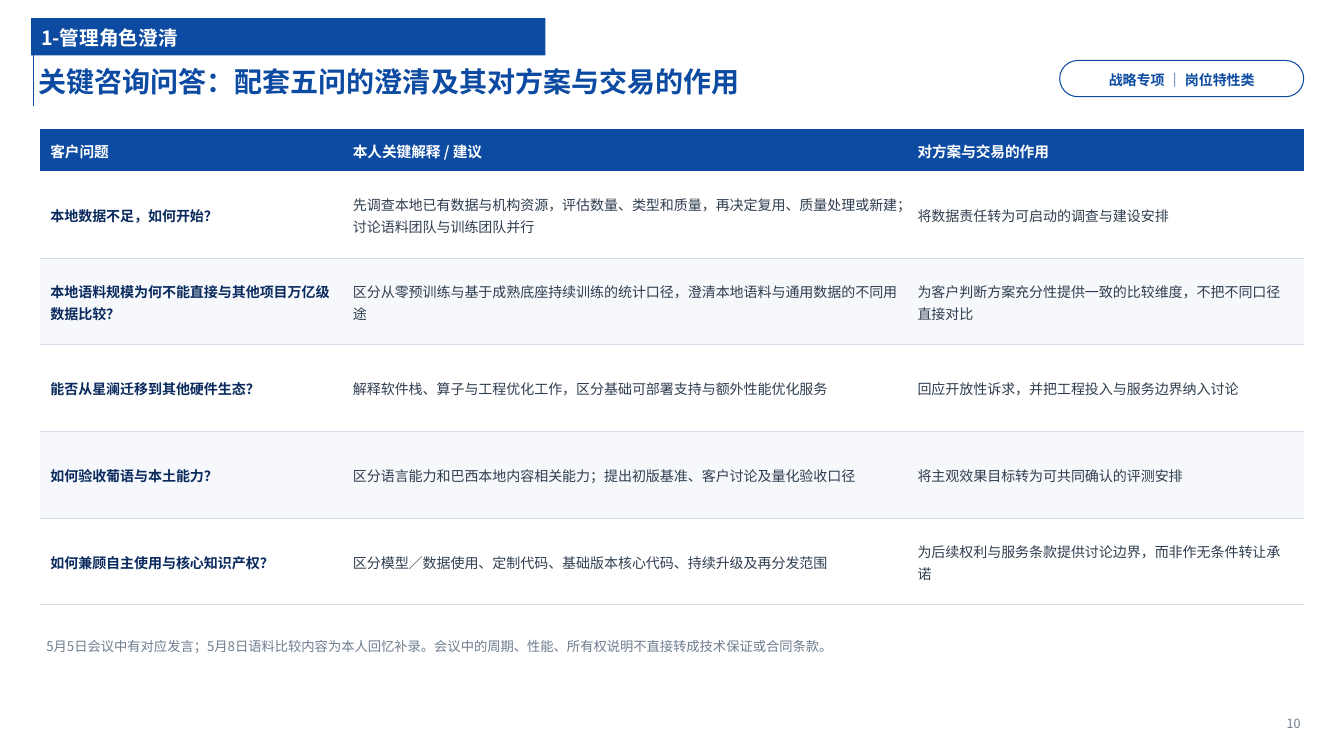
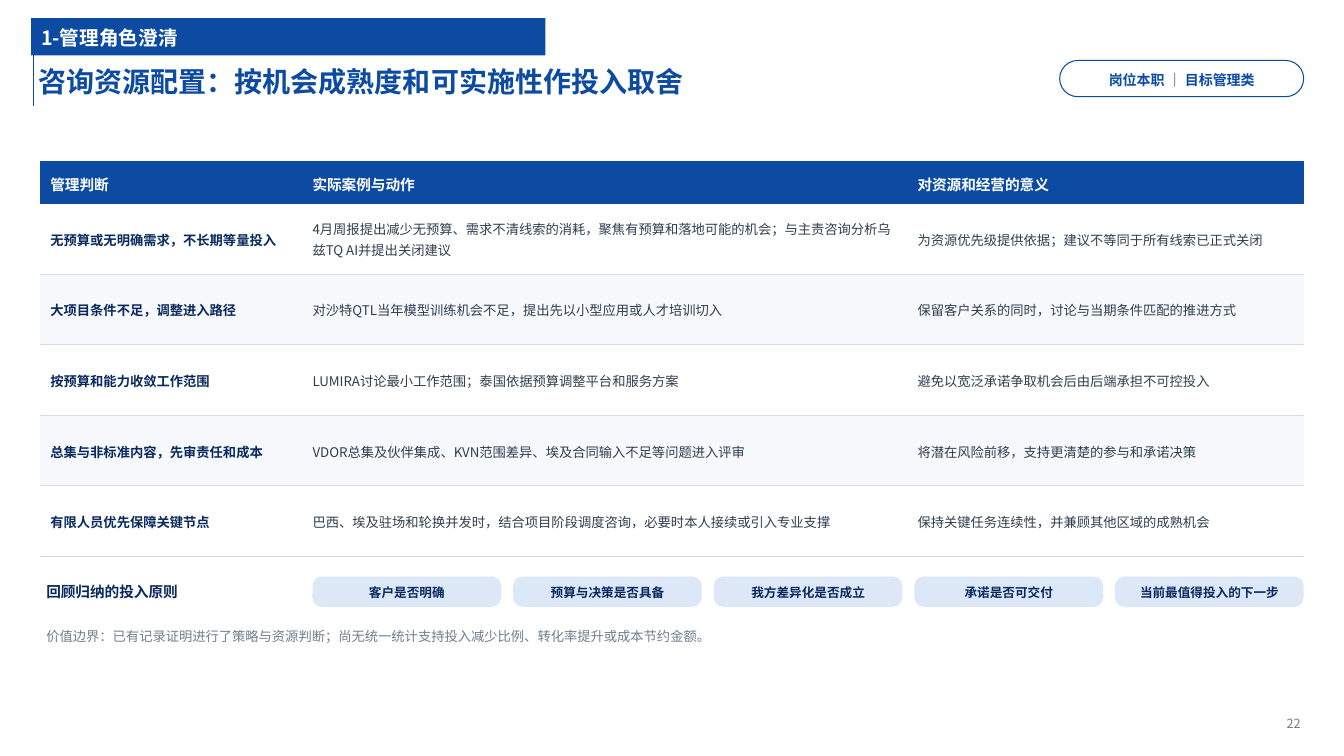
from dataclasses import dataclass
from lxml.etree import SubElement
from pptx import Presentation
from pptx.dml.color import RGBColor
from pptx.enum.shapes import MSO_CONNECTOR, MSO_SHAPE
from pptx.enum.text import MSO_ANCHOR, MSO_AUTO_SIZE, PP_ALIGN
from pptx.oxml import parse_xml
from pptx.oxml.ns import nsdecls, qn
from pptx.util import Inches, Pt


@dataclass(frozen=True)
class Theme:
    font: str = "Noto Sans CJK SC"
    blue: str = "0C4BA1"
    navy: str = "0A2A5E"
    ink: str = "2F3E4F"
    grey: str = "6F7E8F"
    rule: str = "D3DCE8"
    chip: str = "DCE7F8"
    stripe: str = "F6F8FC"
    white: str = "FFFFFF"
    title: float = 20
    section: float = 14
    heading: float = 10.5
    tag: float = 10
    note: float = 9.5
    small: float = 9


T = Theme()
LEFT, WIDTH = 0.4, 12.53
HEADER_H = 0.42


def rgb(color):
    return RGBColor.from_string(color)


def write(tf, text, size, color, bold=False, align=PP_ALIGN.LEFT, spacing=1.12, after=0):
    p = tf.paragraphs[0]
    p.text = text
    p.alignment = align
    p.line_spacing = spacing
    p.space_before = Pt(0)
    p.space_after = Pt(after)
    f = p.font
    f.size, f.bold, f.name = Pt(size), bold, T.font
    f.color.rgb = rgb(color)
    SubElement(p._p.pPr.find(qn("a:defRPr")), qn("a:ea")).set("typeface", T.font)


def set_frame(tf, insets):
    tf.word_wrap = True
    tf.auto_size = MSO_AUTO_SIZE.NONE
    tf.vertical_anchor = MSO_ANCHOR.MIDDLE
    tf.margin_left, tf.margin_top, tf.margin_right, tf.margin_bottom = map(Inches, insets)


def add_text(s, box, text, size, color, insets=(0.06, 0.04, 0.06, 0.04), **style):
    tf = s.shapes.add_textbox(*map(Inches, box)).text_frame
    set_frame(tf, insets)
    write(tf, text, size, color, **style)


def add_box(s, box, text, size, color, fill, line=None, radius=None,
            insets=(0.04, 0, 0.04, 0), align=PP_ALIGN.CENTER):
    kind = MSO_SHAPE.RECTANGLE if radius is None else MSO_SHAPE.ROUNDED_RECTANGLE
    sp = s.shapes.add_shape(kind, *map(Inches, box))
    sp.shadow.inherit = False
    if radius is not None:
        sp.adjustments[0] = radius
    sp.fill.solid()
    sp.fill.fore_color.rgb = rgb(fill)
    if line:
        sp.line.color.rgb = rgb(line)
        sp.line.width = Pt(0.75)
    else:
        sp.line.fill.background()
    set_frame(sp.text_frame, insets)
    write(sp.text_frame, text, size, color, bold=True, align=align)


def add_frame(prs, title, tag, page):
    s = prs.slides.add_slide(prs.slide_layouts[5])
    line = s.shapes.add_connector(MSO_CONNECTOR.STRAIGHT, Inches(0.33), Inches(0.24),
                                  Inches(0.33), Inches(1.05))
    line.line.color.rgb = rgb(T.blue)
    line.line.width = Pt(1)
    SubElement(line._element.spPr, qn("a:effectLst"))
    sp = s.shapes.title
    sp.left, sp.top, sp.width, sp.height = map(Inches, (0.33, 0.53, 11.5, 0.52))
    set_frame(sp.text_frame, (0.05, 0, 0.05, 0))
    write(sp.text_frame, title, T.title, T.blue, bold=True)
    add_box(s, (0.31, 0.18, 5.1, 0.37), "1-管理角色澄清", T.section, T.white, T.blue,
            insets=(0.1, 0, 0.05, 0), align=PP_ALIGN.LEFT)
    add_box(s, (10.51, 0.6, 2.42, 0.36), tag, T.tag, T.blue, T.white, line=T.blue, radius=0.5)
    add_text(s, (12, 7.02, 0.95, 0.3), page, T.small, T.grey,
             insets=(0, 0, 0.05, 0), align=PP_ALIGN.RIGHT)
    return s


def set_borders(cell, ruled):
    tcPr = cell._tc.get_or_add_tcPr()
    for i, side in enumerate(("lnL", "lnR", "lnT", "lnB")):
        fill = "<a:noFill/>"
        if side in ruled:
            fill = f'<a:solidFill><a:srgbClr val="{T.rule}"/></a:solidFill>'
        tcPr.insert(i, parse_xml(f'<a:{side} {nsdecls("a")} w="9525">{fill}</a:{side}>'))


def add_grid(s, top, widths, row_h, size, rows):
    height = HEADER_H + row_h * (len(rows) - 1)
    table = s.shapes.add_table(len(rows), len(widths), Inches(LEFT), Inches(top),
                               Inches(WIDTH), Inches(height)).table
    table.horz_banding = False
    for col, width in zip(table.columns, widths):
        col.width = Inches(width)
    for i, texts in enumerate(rows):
        table.rows[i].height = Inches(row_h if i else HEADER_H)
        ruled = [side for side, first in (("lnT", 2), ("lnB", 1)) if i >= first]
        for j, text in enumerate(texts):
            cell = table.cell(i, j)
            cell.vertical_anchor = MSO_ANCHOR.MIDDLE
            cell.fill.solid()
            if i == 0:
                fill = T.blue
                write(cell.text_frame, text, T.heading, T.white, bold=True)
            else:
                fill = T.white if i % 2 else T.stripe
                write(cell.text_frame, text, size, T.ink if j else T.navy,
                      bold=j == 0, spacing=1.08, after=2)
            cell.fill.fore_color.rgb = rgb(fill)
            set_borders(cell, ruled)


def add_note(s, top, height, text):
    add_text(s, (LEFT, top, WIDTH, height), text, T.note, T.grey, after=3)


def add_principles(s, top, label, principles, label_w=2.6, indent=2.7, gap=0.12):
    add_text(s, (LEFT, top, label_w, 0.32), label, T.heading, T.navy, bold=True)
    width = (WIDTH - indent - gap * (len(principles) - 1)) / len(principles)
    for i, text in enumerate(principles):
        add_box(s, (LEFT + indent + i * (width + gap), top + 0.02, width, 0.3),
                text, T.small, T.navy, T.chip, radius=0.3)


def add_questions_slide(prs):
    s = add_frame(prs, "关键咨询问答：配套五问的澄清及其对方案与交易的作用",
                  "战略专项 ｜ 岗位特性类", "10")
    add_grid(s, 1.28, (3, 5.6, 3.93), 0.86, 10, [
        ("客户问题", "本人关键解释 / 建议", "对方案与交易的作用"),
        ("本地数据不足，如何开始？",
         "先调查本地已有数据与机构资源，评估数量、类型和质量，再决定复用、质量处理或新建；讨论语料团队与训练团队并行",
         "将数据责任转为可启动的调查与建设安排"),
        ("本地语料规模为何不能直接与其他项目万亿级数据比较？",
         "区分从零预训练与基于成熟底座持续训练的统计口径，澄清本地语料与通用数据的不同用途",
         "为客户判断方案充分性提供一致的比较维度，不把不同口径直接对比"),
        ("能否从星澜迁移到其他硬件生态？",
         "解释软件栈、算子与工程优化工作，区分基础可部署支持与额外性能优化服务",
         "回应开放性诉求，并把工程投入与服务边界纳入讨论"),
        ("如何验收葡语与本土能力？",
         "区分语言能力和巴西本地内容相关能力；提出初版基准、客户讨论及量化验收口径",
         "将主观效果目标转为可共同确认的评测安排"),
        ("如何兼顾自主使用与核心知识产权？",
         "区分模型／数据使用、定制代码、基础版本核心代码、持续升级及再分发范围",
         "为后续权利与服务条款提供讨论边界，而非作无条件转让承诺"),
    ])
    add_note(s, 6.15, 0.5, "5月5日会议中有对应发言；5月8日语料比较内容为本人回忆补录。"
             "会议中的周期、性能、所有权说明不直接转成技术保证或合同条款。")


def add_resources_slide(prs):
    s = add_frame(prs, "咨询资源配置：按机会成熟度和可实施性作投入取舍",
                  "岗位本职 ｜ 目标管理类", "22")
    add_grid(s, 1.6, (2.6, 6, 3.93), 0.7, 9.5, [
        ("管理判断", "实际案例与动作", "对资源和经营的意义"),
        ("无预算或无明确需求，不长期等量投入",
         "4月周报提出减少无预算、需求不清线索的消耗，聚焦有预算和落地可能的机会；与主责咨询分析乌兹TQ AI并提出关闭建议",
         "为资源优先级提供依据；建议不等同于所有线索已正式关闭"),
        ("大项目条件不足，调整进入路径",
         "对沙特QTL当年模型训练机会不足，提出先以小型应用或人才培训切入",
         "保留客户关系的同时，讨论与当期条件匹配的推进方式"),
        ("按预算和能力收敛工作范围",
         "LUMIRA讨论最小工作范围；泰国依据预算调整平台和服务方案",
         "避免以宽泛承诺争取机会后由后端承担不可控投入"),
        ("总集与非标准内容，先审责任和成本",
         "VDOR总集及伙伴集成、KVN范围差异、埃及合同输入不足等问题进入评审",
         "将潜在风险前移，支持更清楚的参与和承诺决策"),
        ("有限人员优先保障关键节点",
         "巴西、埃及驻场和轮换并发时，结合项目阶段调度咨询，必要时本人接续或引入专业支撑",
         "保持关键任务连续性，并兼顾其他区域的成熟机会"),
    ])
    add_principles(s, 5.7, "回顾归纳的投入原则", (
        "客户是否明确", "预算与决策是否具备", "我方差异化是否成立",
        "承诺是否可交付", "当前最值得投入的下一步"))
    add_note(s, 6.12, 0.36, "价值边界：已有记录证明进行了策略与资源判断；"
             "尚无统一统计支持投入减少比例、转化率提升或成本节约金额。")


def main():
    prs = Presentation()
    prs.slide_width, prs.slide_height = Inches(13.33), Inches(7.5)
    add_questions_slide(prs)
    add_resources_slide(prs)
    prs.save("out.pptx")


if __name__ == "__main__":
    main()
